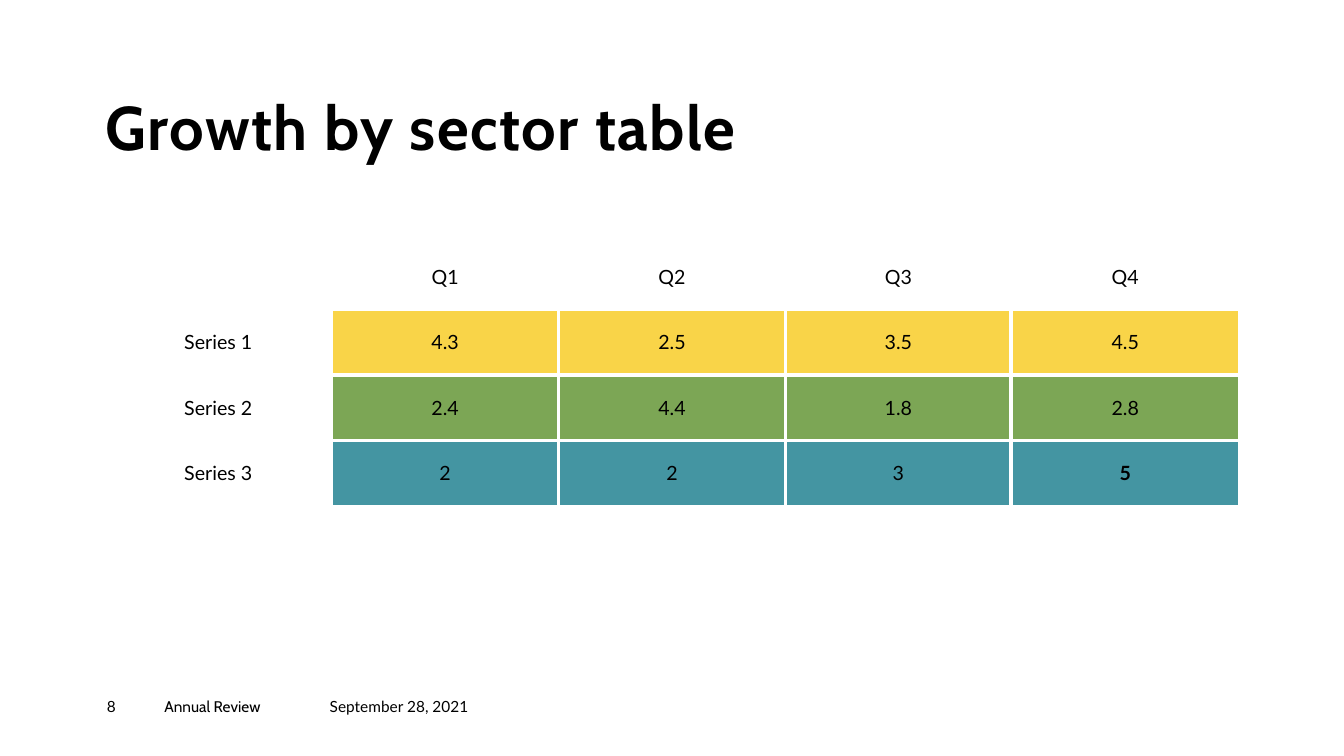
from lxml.etree import SubElement
from pptx import Presentation
from pptx.dml.color import RGBColor
from pptx.enum.text import MSO_ANCHOR, PP_ALIGN
from pptx.oxml.ns import qn
from pptx.util import Emu, Pt

PX = 9144
BLACK = RGBColor(0x00, 0x00, 0x00)
WHITE = RGBColor(0xFF, 0xFF, 0xFF)
YELLOW = RGBColor(0xF9, 0xD4, 0x48)
GREEN = RGBColor(0x7C, 0xA6, 0x55)
TEAL = RGBColor(0x44, 0x95, 0xA2)

HEADER = ["", "Q1", "Q2", "Q3", "Q4"]
SERIES = [
    (["Series 1", "4.3", "2.5", "3.5", "4.5"], YELLOW),
    (["Series 2", "2.4", "4.4", "1.8", "2.8"], GREEN),
    (["Series 3", "2", "2", "3", "5"], TEAL),
]
HIGHLIGHT = "5"
COLUMN_WIDTHS = [225, 225, 225, 224, 226]
ROW_HEIGHT = 65
FOOTER = [
    (106, 57, "8", "Lato"),
    (163, 164, "Annual Review", "Cabin"),
    (327, 144, "September 28, 2021", "Lato"),
]


def px(length):
    """Turn a length in px into EMU."""
    return Emu(length * PX)


def write(frame, text, size=14, font="Lato", bold=False, align=PP_ALIGN.LEFT,
          line_spacing=None, letter_spacing=None):
    """Write one formatted paragraph into a text frame."""
    para = frame.paragraphs[0]
    para.alignment = align
    para.line_spacing = line_spacing
    span = para.add_run()
    span.text = text
    span.font.size = Pt(size)
    span.font.name = font
    span.font.bold = bold
    span.font.color.rgb = BLACK
    if letter_spacing:
        span.font._element.set("spc", str(letter_spacing * 100))


def add_text(page, left, top, width, height, text, anchor=MSO_ANCHOR.TOP, **style):
    """Add a text box without margins."""
    box = page.shapes.add_textbox(px(left), px(top), px(width), px(height))
    frame = box.text_frame
    frame.word_wrap = True
    frame.vertical_anchor = anchor
    frame.margin_left = frame.margin_top = frame.margin_right = frame.margin_bottom = 0
    write(frame, text, **style)


def border_widths(row, column):
    """Give the left, right, top and bottom border widths of a cell in points."""
    if row == 0:
        return 1, 1, 1, 2.25
    if column == 0:
        return 2.25, 2.25, 2.25, 2.25
    return (2.25 if column == 1 else 3,
            2.25 if column == len(HEADER) - 1 else 3,
            2.25 if row == 1 else 3,
            2.25 if row == len(SERIES) else 3)


def set_borders(cell, widths):
    """Draw the four white borders of a cell."""
    properties = cell._tc.get_or_add_tcPr()
    for side, width in zip(("L", "R", "T", "B"), widths):
        line = SubElement(properties, qn(f"a:ln{side}"), w=str(Pt(width)))
        fill = SubElement(line, qn("a:solidFill"))
        SubElement(fill, qn("a:srgbClr"), val=str(WHITE))


def fill_cell(cell, text, color, widths):
    """Set the borders, fill and text of a cell."""
    set_borders(cell, widths)
    if color is None:
        cell.fill.background()
    else:
        cell.fill.solid()
        cell.fill.fore_color.rgb = color
    cell.vertical_anchor = MSO_ANCHOR.MIDDLE
    if text:
        write(cell.text_frame, text, bold=text == HIGHLIGHT, align=PP_ALIGN.CENTER)


def add_growth_table(page, left, top):
    """Add the table of growth by series and quarter."""
    rows = [(HEADER, None)] + SERIES
    table = page.shapes.add_table(
        len(rows), len(HEADER), px(left), px(top),
        px(sum(COLUMN_WIDTHS)), px(ROW_HEIGHT * len(rows))).table
    table.first_row = False
    table.horz_banding = False
    for column, width in zip(table.columns, COLUMN_WIDTHS):
        column.width = px(width)
    for row, (texts, color) in enumerate(rows):
        table.rows[row].height = px(ROW_HEIGHT)
        for column, text in enumerate(texts):
            fill_cell(table.cell(row, column), text, color if column else None,
                      border_widths(row, column))


def main():
    """Build and save the slide."""
    deck = Presentation()
    deck.slide_width, deck.slide_height = px(1333), px(750)
    page = deck.slides.add_slide(deck.slide_layouts[6])
    page.background.fill.solid()
    page.background.fill.fore_color.rgb = WHITE
    add_text(page, 105, 96, 827, 67, "Growth by sector table", anchor=MSO_ANCHOR.BOTTOM,
             size=44, font="Cabin", bold=True, line_spacing=0.9, letter_spacing=1)
    add_growth_table(page, 104, 242)
    for left, width, text, font in FOOTER:
        add_text(page, left, 692, width, 27, text, size=11, font=font)
    deck.save("out.pptx")


if __name__ == "__main__":
    main()
